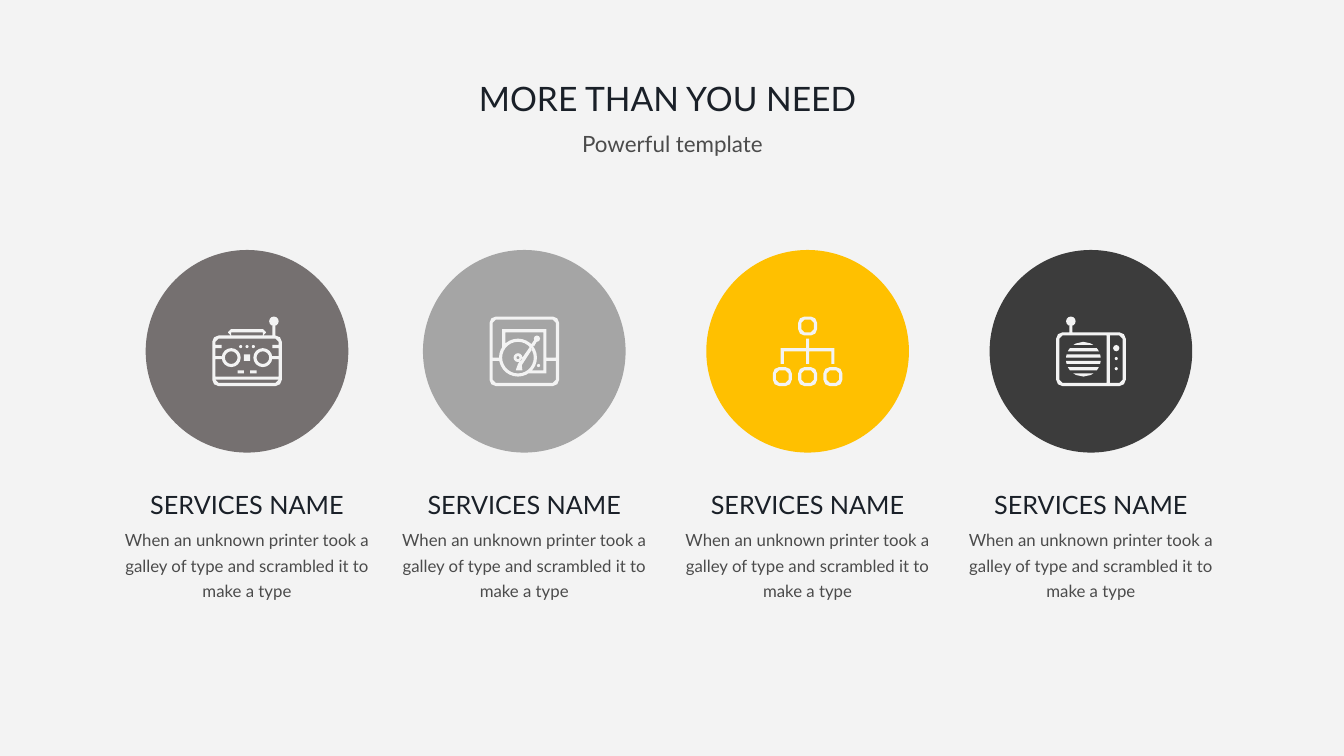
"""Build a slide of four services, each with a circled icon, a name and a detail."""
from math import cos, pi, sin, sqrt

from pptx import Presentation
from pptx.dml.color import RGBColor
from pptx.enum.shapes import MSO_SHAPE as Preset
from pptx.enum.text import MSO_AUTO_SIZE as AutoSize, PP_ALIGN as Align
from pptx.util import Inches, Pt

PAPER = RGBColor(0xF3, 0xF3, 0xF3)
INK = RGBColor(0x1A, 0x20, 0x28)
GRAY = RGBColor(0x4B, 0x4B, 0x4B)
TAUPE = RGBColor(0x75, 0x70, 0x70)
SILVER = RGBColor(0xA5, 0xA5, 0xA5)
AMBER = RGBColor(0xFF, 0xC0, 0x00)
CHARCOAL = RGBColor(0x3C, 0x3C, 0x3C)

FONT = "Lato"
TITLE = "MORE THAN YOU NEED"
SUBTITLE = "Powerful template"
SERVICE = "SERVICES NAME"
DETAIL = "When an unknown printer took a galley of type and scrambled it to make a type"

CIRCLE_SIZE = 2.01
CIRCLE_TOP = 2.48
ICON_SIZE = 0.69
ICON_GRID = 22


def box(x, y, width, height, radius=0):
    right, bottom = x + width, y + height
    if not radius:
        return [(x, y), (right, y), (right, bottom), (x, bottom)]
    corners = [(right - radius, bottom - radius), (x + radius, bottom - radius),
               (x + radius, y + radius), (right - radius, y + radius)]
    steps = 2 if radius > 1 else 1
    return [(cx + radius * cos(angle), cy + radius * sin(angle))
            for quarter, (cx, cy) in enumerate(corners)
            for angle in [(quarter + step / steps) * pi / 2 for step in range(steps + 1)]]


def disc(cx, cy, radius):
    count = 8 if radius <= 1 else 12 if radius < 2 else 16 if radius < 4 else 28
    angles = [2 * pi * step / count for step in range(count)]
    return [(cx + radius * cos(angle), cy + radius * sin(angle)) for angle in angles]


def border(x, y, width, height):
    return [box(x, y, width, height, 2), box(x + 1, y + 1, width - 2, height - 2, 1)]


def ring(cx, cy, outer, inner):
    return [disc(cx, cy, outer), disc(cx, cy, inner)]


def stripe(cx, cy, radius, top):
    right = [(cx + sqrt(radius ** 2 - (y - cy) ** 2), y) for y in (top, top + 0.5, top + 1)]
    return right + [(2 * cx - x, y) for x, y in reversed(right)]


def antenna(cx, base):
    return [disc(cx, 1.5, 1.5), box(cx - 0.5, 3, 1, base - 3)]


BOOMBOX = [
    *border(0, 6, 22, 16), *antenna(19.5, 6),
    box(5, 4, 12, 2, 0.9), box(6, 5, 10, 1),
    *ring(6, 13, 3, 2), *ring(16, 13, 3, 2),
    *[box(x, y, 2, 1) for x in (1, 19) for y in (9, 12.5)],
    *[disc(x, 9.5, 0.5) for x in (9, 11, 13)],
    box(10, 12, 2, 2), box(8, 17, 2, 1), box(12, 17, 2, 1), box(1, 19, 20, 1),
]
TURNTABLE = [
    *border(0, 0, 22, 22), box(1, 13, 2, 1), box(18, 13, 3, 1),
    [(4, 9.7), (4, 4), (18, 4), (18, 18), (12.3, 18),
     (13.5, 17), (17, 17), (17, 5), (5, 5), (5, 8.5)],
    *ring(9, 13, 6, 5), *ring(9, 13, 1.4, 0.5),
    disc(15, 7, 1), disc(15.5, 15.5, 0.5),
    [(14.1, 7.5), (14.9, 8), (14.1, 9.4), (13.2, 8.8)],
    [(12.7, 9.7), (13.5, 10.3), (10.2, 15.4), (10.4, 17), (8.3, 17), (9, 15)],
]
HIERARCHY = [
    *border(8, 0, 6, 6),
    *[outline for x in (0, 8, 16) for outline in border(x, 16, 6, 6)],
    box(10.5, 7, 1, 3), box(2.5, 10, 17, 1),
    *[box(x, 11, 1, 4) for x in (2.5, 10.5, 18.5)],
]
RADIO = [
    *border(0, 5, 22, 17), *antenna(4.65, 5), box(16, 6, 1, 15),
    *[stripe(8.6, 13.5, 5.5, top) for top in range(8, 19, 2)],
    disc(19, 10, 1), disc(19, 13.3, 0.5), disc(19, 16.5, 0.5),
]

SERVICES = [(2.45, TAUPE, BOOMBOX), (5.2, SILVER, TURNTABLE),
            (8.01, AMBER, HIERARCHY), (10.82, CHARCOAL, RADIO)]


def paint(shape, color):
    shape.shadow.inherit = False
    shape.fill.solid()
    shape.fill.fore_color.rgb = color
    shape.line.fill.background()


def add_text(slide, text, place, size, color, align=Align.CENTER, wrap=False, spacing=None):
    body = slide.shapes.add_textbox(*map(Inches, place)).text_frame
    body.margin_left = body.margin_right = body.margin_top = body.margin_bottom = 0
    body.word_wrap = wrap
    body.auto_size = AutoSize.NONE if wrap else AutoSize.SHAPE_TO_FIT_TEXT
    paragraph = body.paragraphs[0]
    paragraph.alignment = align
    paragraph.line_spacing = spacing
    run = paragraph.add_run()
    run.text = text
    run.font.name, run.font.size, run.font.color.rgb = FONT, Pt(size), color


def add_icon(slide, outlines, left, top):
    unit = Inches(ICON_SIZE) / ICON_GRID
    first, *others = [[(x * unit, y * unit) for x, y in outline] for outline in outlines]
    builder = slide.shapes.build_freeform(*first[0])
    builder.add_line_segments(first[1:])
    for outline in others:
        builder.move_to(*outline[0])
        builder.add_line_segments(outline[1:])
    paint(builder.convert_to_shape(Inches(left), Inches(top)), PAPER)


def main():
    deck = Presentation()
    deck.slide_width, deck.slide_height = Inches(13.33), Inches(7.5)
    slide = deck.slides.add_slide(deck.slide_layouts[6])
    slide.background.fill.solid()
    slide.background.fill.fore_color.rgb = PAPER

    add_text(slide, TITLE, (4.75, 0.77, 3.84, 0.4), 24, INK, Align.LEFT)
    add_text(slide, SUBTITLE, (5.74, 1.29, 1.86, 0.27), 16, GRAY)

    icon_top = CIRCLE_TOP + (CIRCLE_SIZE - ICON_SIZE) / 2
    for center, color, icon in SERVICES:
        circle = (center - CIRCLE_SIZE / 2, CIRCLE_TOP, CIRCLE_SIZE, CIRCLE_SIZE)
        paint(slide.shapes.add_shape(Preset.OVAL, *map(Inches, circle)), color)
        add_icon(slide, icon, center - ICON_SIZE / 2, icon_top)
        add_text(slide, SERVICE, (center - 0.98, 4.85, 1.96, 0.3), 18, INK)
        add_text(slide, DETAIL, (center - 1.23, 5.21, 2.46, 0.55), 12, GRAY,
                 wrap=True, spacing=1.25)

    deck.save("out.pptx")


if __name__ == "__main__":
    main()
